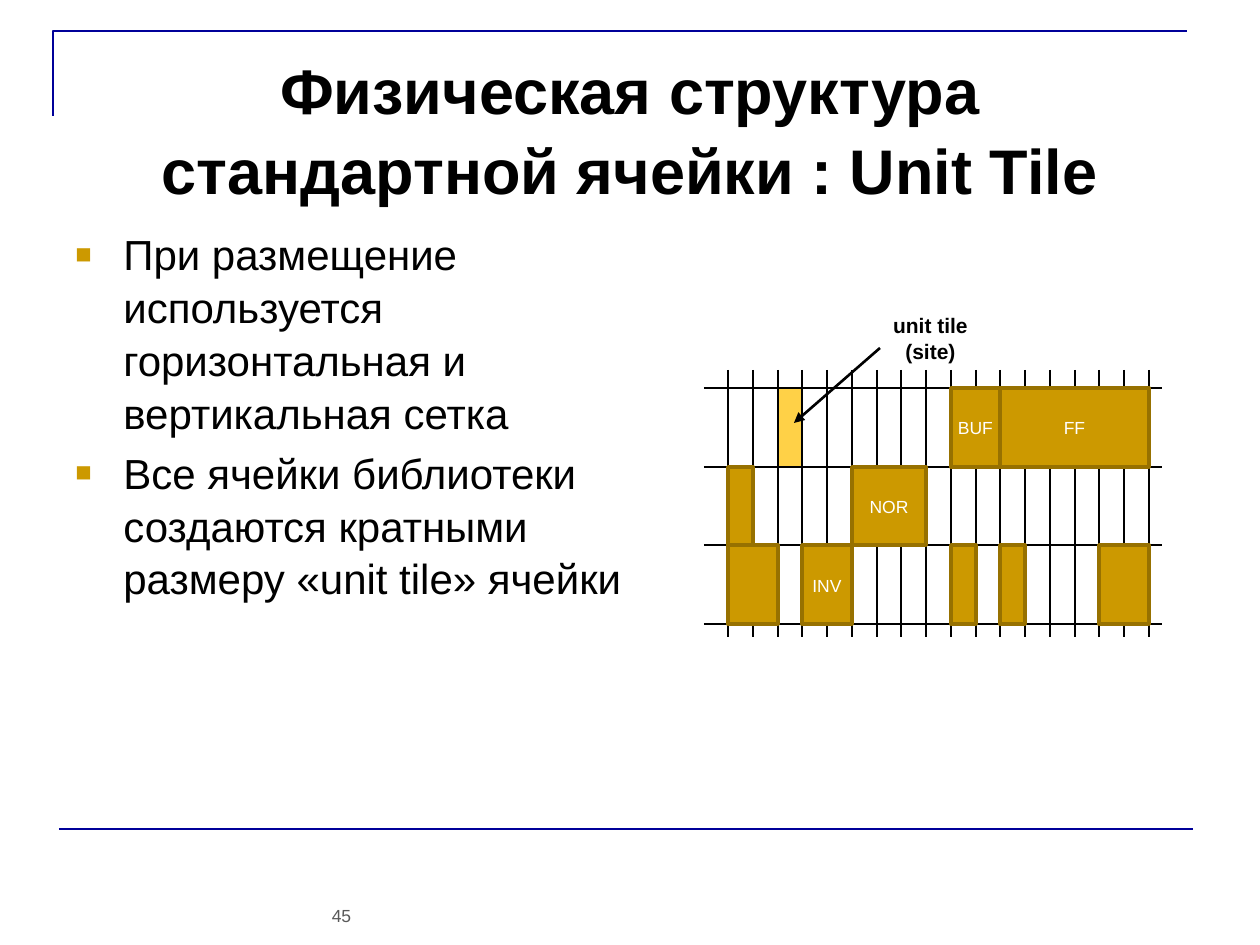
from lxml.etree import SubElement
from pptx import Presentation
from pptx.dml.color import RGBColor
from pptx.enum.shapes import MSO_CONNECTOR, MSO_SHAPE
from pptx.enum.text import MSO_ANCHOR, PP_ALIGN
from pptx.oxml.ns import qn
from pptx.util import Pt

PX = 914400 // 126
FONT = "Arial"
COLORS = {
    "frame": "000099", "text": "000000", "number": "595959", "white": "FFFFFF",
    "cell": "CC9900", "cell_edge": "977100", "tile": "FFD147",
}

TITLE = "Физическая структура стандартной ячейки : Unit Tile"
BULLETS = [
    "При размещение используется горизонтальная и вертикальная сетка",
    "Все ячейки библиотеки создаются кратными размеру «unit tile» ячейки",
]
TILE_LABEL = "unit tile\n(site)"
PAGE_NUMBER = "45"

GRID_LEFT, GRID_RIGHT, COLUMNS = 728, 1149, 17
GRID_TOP, GRID_BOTTOM, ROWS = 388, 624, 3
COLUMN_LINE_TOP, COLUMN_LINE_BOTTOM = 370, 637
ROW_LINE_LEFT, ROW_LINE_RIGHT = 704, 1162
UNIT_TILE = (0, 2, 1)
CELLS = [
    (0, 11, 6, "FF"),
    (0, 9, 2, "BUF"),
    (1, 0, 1, ""),
    (1, 5, 3, "NOR"),
    (2, 0, 2, ""),
    (2, 3, 2, "INV"),
    (2, 9, 1, ""),
    (2, 11, 1, ""),
    (2, 15, 2, ""),
]

presentation = Presentation()
presentation.slide_width = 1260 * PX
presentation.slide_height = 945 * PX
slide = presentation.slides.add_slide(presentation.slide_layouts[6])


def color(name):
    return RGBColor.from_string(COLORS[name])


def column_x(column):
    return GRID_LEFT + round(column * (GRID_RIGHT - GRID_LEFT) / COLUMNS)


def row_y(row):
    return GRID_TOP + round(row * (GRID_BOTTOM - GRID_TOP) / ROWS)


def format_text(paragraph, size, color_name, bold=False, align=PP_ALIGN.CENTER):
    paragraph.alignment = align
    paragraph.line_spacing = 1.05
    for run in paragraph.runs:
        run.font.name = FONT
        run.font.size = Pt(size)
        run.font.bold = bold
        run.font.color.rgb = color(color_name)


def add_text(box, text, size, color_name="text", bold=False):
    frame = slide.shapes.add_textbox(*(value * PX for value in box)).text_frame
    frame.word_wrap = True
    frame.paragraphs[0].text = text
    format_text(frame.paragraphs[0], size, color_name, bold)
    return frame


def add_line(start, end, color_name="text", width=0.75):
    points = [value * PX for value in (*start, *end)]
    line = slide.shapes.add_connector(MSO_CONNECTOR.STRAIGHT, *points)
    line.line.color.rgb = color(color_name)
    line.line.width = Pt(width)
    SubElement(line._element.spPr, qn("a:effectLst"))
    return line


def add_bullet(paragraph):
    properties = paragraph._p.get_or_add_pPr()
    properties.set("marL", str(48 * PX))
    properties.set("indent", str(-48 * PX))
    bullet_color = SubElement(properties, qn("a:buClr"))
    SubElement(bullet_color, qn("a:srgbClr"), val=COLORS["cell"])
    SubElement(properties, qn("a:buSzPct"), val="65000")
    SubElement(properties, qn("a:buFont"), typeface=FONT)
    SubElement(properties, qn("a:buChar"), char="■")


def add_cell(row, column, span, label="", fill="cell", edge="cell_edge"):
    left, top = column_x(column), row_y(row)
    width, height = column_x(column + span) - left, row_y(row + 1) - top
    shape = slide.shapes.add_shape(
        MSO_SHAPE.RECTANGLE, left * PX, top * PX, width * PX, height * PX)
    shape.shadow.inherit = False
    shape.fill.solid()
    shape.fill.fore_color.rgb = color(fill)
    if edge:
        shape.line.color.rgb = color(edge)
        shape.line.width = Pt(2)
    else:
        shape.line.fill.background()
    if label:
        frame = shape.text_frame
        frame.text = label
        frame.word_wrap = False
        frame.vertical_anchor = MSO_ANCHOR.MIDDLE
        format_text(frame.paragraphs[0], 10, "white")


builder = slide.shapes.build_freeform(53, 116, scale=PX)
builder.add_line_segments([(53, 31), (1187, 31)], close=False)
corner = builder.convert_to_shape()
corner.shadow.inherit = False
corner.fill.background()
corner.line.color.rgb = color("frame")
corner.line.width = Pt(1.5)
add_line((59, 829), (1193, 829), "frame", 1.5)

add_text((315, 898, 53, 34), PAGE_NUMBER, 10, "number")
title = add_text((63, 38, 1134, 157), TITLE, 36, bold=True)
title.margin_top = 10 * PX

body = add_text((63, 220, 606, 624), BULLETS[0], 24)
body.add_paragraph().text = BULLETS[1]
for paragraph in body.paragraphs:
    add_bullet(paragraph)
    format_text(paragraph, 24, "text", align=PP_ALIGN.LEFT)
body.paragraphs[1].space_before = Pt(4)

add_cell(*UNIT_TILE, fill="tile", edge=None)
for row in range(ROWS + 1):
    add_line((ROW_LINE_LEFT, row_y(row)), (ROW_LINE_RIGHT, row_y(row)))
for column in range(COLUMNS + 1):
    x = column_x(column)
    add_line((x, COLUMN_LINE_TOP), (x, COLUMN_LINE_BOTTOM))
for cell in CELLS:
    add_cell(*cell)

add_text((867, 305, 127, 63), TILE_LABEL, 12, bold=True)
arrow = add_line((880, 348), (794, 423), width=1.5)
SubElement(arrow.line._get_or_add_ln(), qn("a:tailEnd"), type="triangle")

presentation.save("out.pptx")
